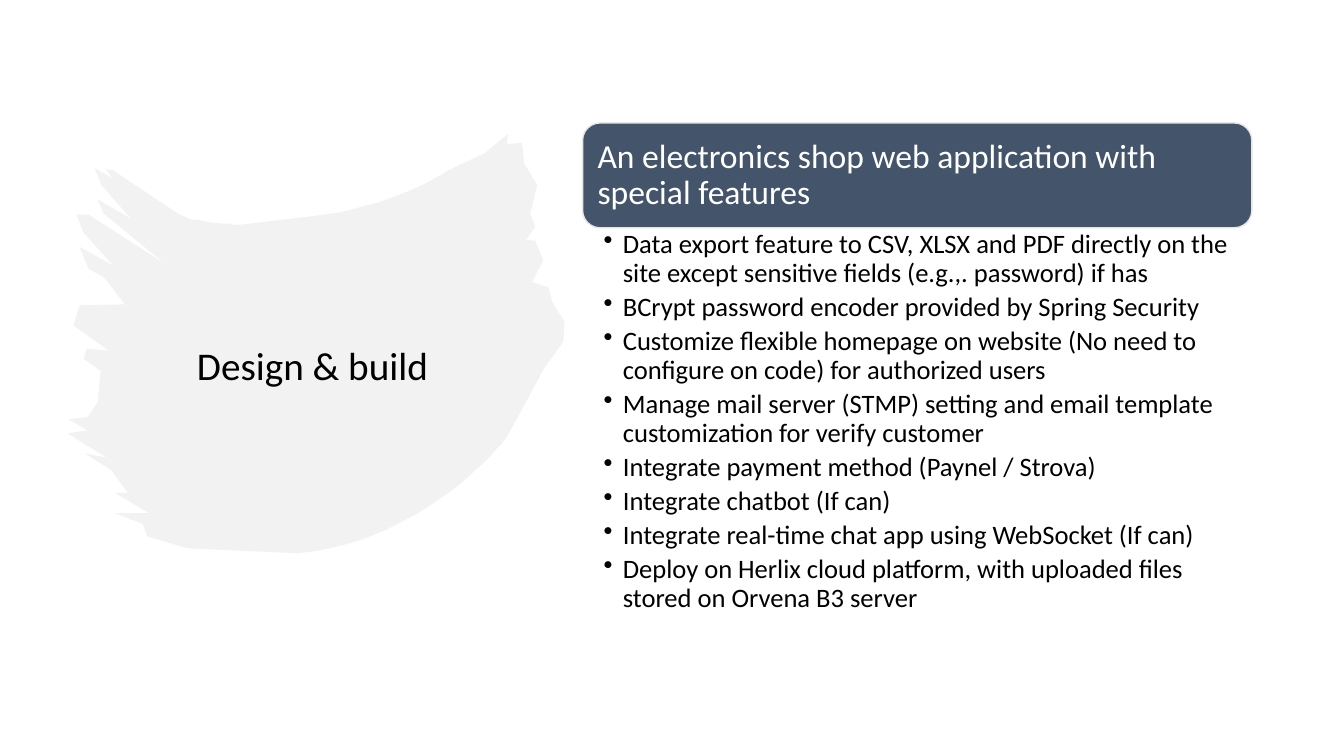
from dataclasses import dataclass
from typing import Any

from lxml.etree import SubElement
from pptx import Presentation
from pptx.dml.color import RGBColor
from pptx.enum.shapes import MSO_SHAPE
from pptx.enum.text import MSO_ANCHOR, MSO_AUTO_SIZE, PP_ALIGN
from pptx.oxml.ns import qn
from pptx.util import Inches, Pt

COLUMNS, ROWS = 160, 90
CELL = Inches(1 / 12)
BRUSH_UNIT = Inches(0.01)
CURVE_STEPS = 16


@dataclass(frozen=True)
class Theme:
    font: str = "Calibri"
    title_size: Pt = Pt(28)
    header_size: Pt = Pt(24)
    bullet_size: Pt = Pt(19)
    text: RGBColor = RGBColor(0, 0, 0)
    light_text: RGBColor = RGBColor(255, 255, 255)
    header_fill: RGBColor = RGBColor.from_string("44546A")
    pale: RGBColor = RGBColor.from_string("E7E6E6")


@dataclass(frozen=True)
class GridBox:
    column: float
    row: float
    width: float
    height: float

    def place(self) -> dict[str, int]:
        return {
            "left": round(self.column * CELL),
            "top": round(self.row * CELL),
            "width": round(self.width * CELL),
            "height": round(self.height * CELL),
        }


@dataclass(frozen=True)
class TextStyle:
    size: Pt
    color: RGBColor
    alignment: PP_ALIGN = PP_ALIGN.LEFT
    space_after: Pt = Pt(0)
    bullet: bool = False


THEME = Theme()
TITLE_BOX = GridBox(15, 27.48, 44.4, 32.52)
HEADER_BOX = GridBox(69.36, 14.64, 79.68, 12.48)
BULLETS_BOX = GridBox(69.36, 27.12, 79.68, 48.24)

TITLE_STYLE = TextStyle(THEME.title_size, THEME.text, PP_ALIGN.CENTER)
HEADER_STYLE = TextStyle(THEME.header_size, THEME.light_text)
BULLET_STYLE = TextStyle(THEME.bullet_size, THEME.text, space_after=Pt(3.8), bullet=True)

HEADER = "An electronics shop web application with special features"
FEATURES = [
    "Data export feature to CSV, XLSX and PDF directly on the site except "
    "sensitive fields (e.g.,. password) if has",
    "BCrypt password encoder provided by Spring Security",
    "Customize flexible homepage on website (No need to configure on code) for authorized users",
    "Manage mail server (STMP) setting and email template customization for verify customer",
    "Integrate payment method (Paynel / Strova)",
    "Integrate chatbot (If can)",
    "Integrate real-time chat app using WebSocket (If can)",
    "Deploy on Herlix cloud platform, with uploaded files stored on Orvena B3 server",
]

# Two numbers are a corner; six are a curve's two control points and its end.
BRUSH_OUTLINE = [
    (504, 133), (503, 143), (518, 142), (520, 162), (533, 184), (526, 212), (531, 225),
    (522, 238), (531, 239), (539, 258), (528, 280), (544, 285), (548, 300), (560, 319),
    (559, 339), (540, 365), (517, 408), (502, 435), (502, 436, 418, 539, 296, 549),
    (186, 544), (146, 532), (142, 520), (114, 509), (148, 509), (114, 489), (127, 489),
    (110, 466), (84, 450), (106, 454), (67, 430), (87, 427), (68, 416), (87, 414),
    (97, 399), (100, 368), (83, 356), (86, 346), (108, 348), (73, 323), (79, 303),
    (124, 302), (103, 275), (88, 267), (79, 245), (113, 264), (83, 231), (76, 213),
    (88, 213), (164, 262), (103, 212), (97, 198), (130, 217), (101, 184), (94, 167),
    (112, 177), (105, 168), (112, 169), (178, 213),
    (190, 220, 231, 223, 239, 223), (306, 215), (388, 207, 446, 169, 449, 167),
    (481, 152),
]


def apply_values(target: Any, values: dict[str, Any]) -> None:
    for name, value in values.items():
        setattr(target, name, value)


def trace(outline: list[tuple[int, ...]]) -> list[tuple[float, float]]:
    """Turn corners and cubic curves into a run of points."""
    points: list[tuple[float, float]] = []
    for segment in outline:
        if len(segment) == 2:
            points.append(segment)
            continue
        knots = [points[-1], segment[:2], segment[2:4], segment[4:]]
        for step in range(1, CURVE_STEPS + 1):
            share = step / CURVE_STEPS
            rest = 1 - share
            weights = (rest**3, 3 * rest**2 * share, 3 * rest * share**2, share**3)
            points.append(tuple(
                sum(weight * knot[axis] for weight, knot in zip(weights, knots))
                for axis in (0, 1)
            ))
    return points


def draw_brush_stroke(slide: Any) -> None:
    points = trace(BRUSH_OUTLINE)
    builder = slide.shapes.build_freeform(*points[0], scale=BRUSH_UNIT)
    builder.add_line_segments(points[1:], close=True)
    brush = builder.convert_to_shape()
    brush.shadow.inherit = False
    brush.line.fill.background()
    brush.fill.solid()
    brush.fill.fore_color.rgb = THEME.pale
    color = brush._element.spPr.find(f".//{qn('a:srgbClr')}")
    SubElement(color, qn("a:alpha"), val="50000")


def write_text(shape: Any, lines: list[str], style: TextStyle, frame_values: dict[str, Any]) -> None:
    frame = shape.text_frame
    apply_values(frame, {"word_wrap": True, "auto_size": MSO_AUTO_SIZE.NONE, **frame_values})
    for index, line in enumerate(lines):
        paragraph = frame.add_paragraph() if index else frame.paragraphs[0]
        if style.bullet:
            properties = paragraph._p.get_or_add_pPr()
            properties.set("marL", str(Inches(0.19)))
            properties.set("indent", str(-Inches(0.19)))
            SubElement(properties, qn("a:buChar"), char="•")
        apply_values(paragraph, {
            "alignment": style.alignment, "line_spacing": 0.9,
            "space_before": Pt(0), "space_after": style.space_after,
        })
        run = paragraph.add_run()
        run.text = line
        apply_values(run.font, {"name": THEME.font, "size": style.size})
        run.font.color.rgb = style.color


def draw_header(slide: Any) -> None:
    header = slide.shapes.add_shape(MSO_SHAPE.ROUNDED_RECTANGLE, **HEADER_BOX.place())
    header.shadow.inherit = False
    header.fill.solid()
    header.fill.fore_color.rgb = THEME.header_fill
    header.line.color.rgb = THEME.pale
    header.line.width = Pt(1)
    margins = {f"margin_{side}": Inches(0.1) for side in ("left", "top", "right", "bottom")}
    write_text(header, [HEADER], HEADER_STYLE, {"vertical_anchor": MSO_ANCHOR.MIDDLE, **margins})


def main() -> None:
    presentation = Presentation()
    apply_values(presentation, {"slide_width": COLUMNS * CELL, "slide_height": ROWS * CELL})
    slide = presentation.slides.add_slide(presentation.slide_layouts.get_by_name("Title Only"))
    draw_brush_stroke(slide)
    title = slide.shapes.title
    apply_values(title, TITLE_BOX.place())
    slide.shapes._spTree.append(title._element)
    write_text(title, ["Design & build"], TITLE_STYLE, {"vertical_anchor": MSO_ANCHOR.MIDDLE})
    draw_header(slide)
    write_text(slide.shapes.add_textbox(**BULLETS_BOX.place()), FEATURES, BULLET_STYLE, {
        "margin_left": Inches(0.21), "margin_right": Inches(0.19),
        "margin_top": Inches(0.03), "margin_bottom": Inches(0.03),
    })
    presentation.save("out.pptx")


if __name__ == "__main__":
    main()
